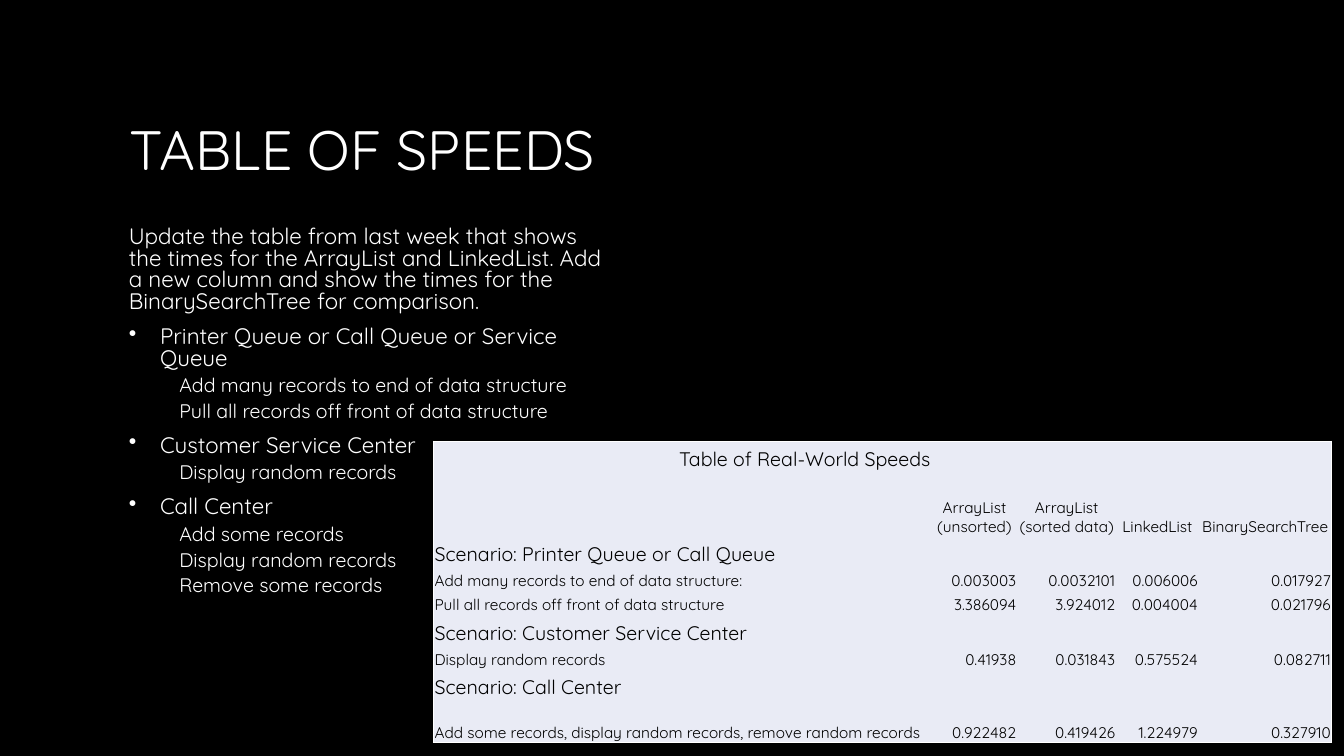
import dataclasses

import lxml.etree
import pptx
import pptx.dml.color
import pptx.enum.text
import pptx.oxml.ns
import pptx.util

Pt = pptx.util.Pt
Inches = pptx.util.Inches
Align = pptx.enum.text.PP_ALIGN
Anchor = pptx.enum.text.MSO_ANCHOR
qn = pptx.oxml.ns.qn


@dataclasses.dataclass(frozen=True)
class Theme:
    face: str = "Quicksand"
    back: str = "000000"
    light: str = "FFFFFF"
    dark: str = "000000"
    panel: str = "E9EBF5"
    title: float = 39.6
    body: int = 16
    sub: int = 14
    head: int = 14
    cell: int = 11


THEME = Theme()
WIDE, HIGH = Inches(13.33), Inches(7.5)
PLAIN = "{2D5ABB26-0587-4C30-8999-92F81FD0307C}"

INTRO = ("Update the table from last week that shows the times for the ArrayList and "
         "LinkedList. Add a new column and show the times for the BinarySearchTree "
         "for comparison.")
TASKS = {
    "Printer Queue or Call Queue or Service Queue": [
        "Add many records to end of data structure",
        "Pull all records off front of data structure"],
    "Customer Service Center": ["Display random records"],
    "Call Center": ["Add some records", "Display random records", "Remove some records"],
}
COLS = [4.94, 0.85, 0.98, 0.82, 1.32]
ROWS = [
    (0.3, ["Table of Real-World Speeds"]),
    (0.64, ["", "ArrayList (unsorted)", "ArrayList (sorted data)", "LinkedList",
            "BinarySearchTree"]),
    (0.3, ["Scenario: Printer Queue or Call Queue"]),
    (0.24, ["Add many records to end of data structure:",
            "0.003003", "0.0032101", "0.006006", "0.017927"]),
    (0.24, ["Pull all records off front of data structure",
            "3.386094", "3.924012", "0.004004", "0.021796"]),
    (0.3, ["Scenario: Customer Service Center"]),
    (0.24, ["Display random records", "0.41938", "0.031843", "0.575524", "0.082711"]),
    (0.3, ["Scenario: Call Center"]),
    (0.43, ["Add some records, display random records, remove random records",
            "0.922482", "0.419426", "1.224979", "0.327910"]),
]


def apply(item, form):
    for key, value in form.items():
        setattr(item, key, value)


def share(left, top, width, height):
    return {"left": int(WIDE * left / 100), "top": int(HIGH * top / 100),
            "width": int(WIDE * width / 100), "height": int(HIGH * height / 100)}


def rgb(code):
    return pptx.dml.color.RGBColor.from_string(code)


def write(para, text, size, color, form):
    apply(para, form)
    run = para.add_run()
    run.text = text
    apply(run.font, {"name": THEME.face, "size": Pt(size)})
    run.font.color.rgb = rgb(color)


def add_title(slide, box):
    title = slide.shapes.title
    apply(title, box)
    apply(title.text_frame, {"vertical_anchor": Anchor.BOTTOM, "word_wrap": True})
    write(title.text_frame.paragraphs[0], "TABLE OF SPEEDS", THEME.title, THEME.light,
          {"alignment": Align.LEFT, "line_spacing": 0.9})


def add_tasks(slide, box):
    frame = slide.shapes.add_textbox(**box).text_frame
    frame.word_wrap = True
    main = {"line_spacing": 0.8, "space_before": Pt(10)}
    sub = {"line_spacing": 0.8, "space_before": Pt(5), "level": 1}
    write(frame.paragraphs[0], INTRO, THEME.body, THEME.light, main)
    for task, steps in TASKS.items():
        para = frame.add_paragraph()
        write(para, task, THEME.body, THEME.light, main)
        indent(para, 0.31)
        mark = lxml.etree.SubElement(para._p.get_or_add_pPr(), qn("a:buChar"))
        mark.set("char", "•")
        for step in steps:
            para = frame.add_paragraph()
            write(para, step, THEME.sub, THEME.light, sub)
            indent(para, 0.81)


def indent(para, left):
    props = para._p.get_or_add_pPr()
    props.set("marL", str(Inches(left)))
    props.set("indent", str(Inches(-0.31)))


def add_edge(cell, side):
    props = cell._tc.get_or_add_tcPr()
    line = lxml.etree.SubElement(props, qn("a:ln" + side), w=str(Pt(1)))
    fill = lxml.etree.SubElement(line, qn("a:solidFill"))
    lxml.etree.SubElement(fill, qn("a:srgbClr"), val=THEME.light)


def add_speeds(slide, box):
    table = slide.shapes.add_table(len(ROWS), len(COLS), **box).table
    apply(table, {"first_row": False, "horz_banding": False})
    table._tbl.tblPr.find(qn("a:tableStyleId")).text = PLAIN
    for col, width in zip(table.columns, COLS):
        col.width = int(box["width"] * width / sum(COLS))
    total = sum(height for height, texts in ROWS)
    last = len(ROWS) - 1
    for i, (height, texts) in enumerate(ROWS):
        table.rows[i].height = int(box["height"] * height / total)
        size = THEME.head if len(texts) == 1 else THEME.cell
        for j in range(len(COLS)):
            cell = table.cell(i, j)
            apply(cell, {"margin_left": Inches(0.01), "margin_right": Inches(0.01),
                         "margin_top": Inches(0.01), "margin_bottom": 0,
                         "vertical_anchor": Anchor.BOTTOM})
            edges = {"L": j == 0, "R": j == len(COLS) - 1, "T": i == 0, "B": i == last}
            for side, outer in edges.items():
                if outer:
                    add_edge(cell, side)
            cell.fill.solid()
            cell.fill.fore_color.rgb = rgb(THEME.panel)
            para = cell.text_frame.paragraphs[0]
            if j < len(texts) and texts[j]:
                align = Align.CENTER if i == 1 else Align.RIGHT if i == 0 or j else Align.LEFT
                write(para, texts[j], size, THEME.dark, {"alignment": align})
            else:
                lxml.etree.SubElement(para._p, qn("a:endParaRPr"), sz=str(THEME.cell * 100))


def main():
    deck = pptx.Presentation()
    apply(deck, {"slide_width": WIDE, "slide_height": HIGH})
    slide = deck.slides.add_slide(deck.slide_layouts[5])
    slide.background.fill.solid()
    slide.background.fill.fore_color.rgb = rgb(THEME.back)
    add_title(slide, share(8.85, 13.73, 37.5, 11.07))
    add_tasks(slide, share(8.85, 29.47, 37.5, 50.93))
    add_speeds(slide, share(32.26, 58.4, 66.84, 39.87))
    deck.save("out.pptx")


if __name__ == "__main__":
    main()
